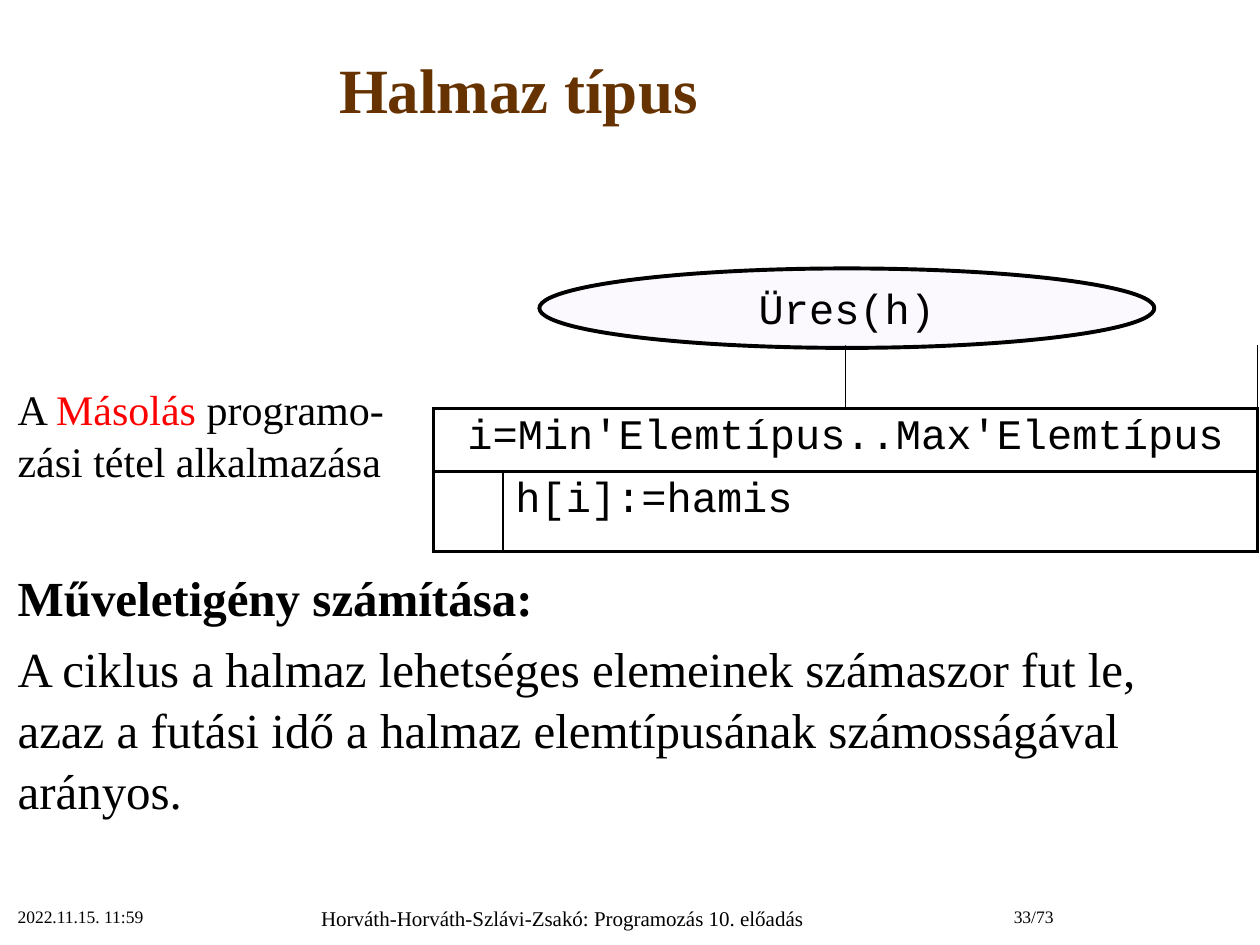
from dataclasses import dataclass, field
from typing import NamedTuple

from lxml.etree import SubElement
from pptx import Presentation
from pptx.dml.color import RGBColor
from pptx.enum.shapes import MSO_SHAPE as Shape
from pptx.enum.text import MSO_ANCHOR as Anchor, PP_ALIGN as Align
from pptx.oxml.ns import qn
from pptx.util import Pt

COLORS = {"black": "000000", "title": "663300", "accent": "FF0000", "oval": "F3E8FE"}
SERIF, MONO = "Times New Roman", "Courier New"
NO_GRID = "{2D5ABB26-0587-4C30-8999-92F81FD0307C}"
THIN, THICK = 1, 2.25
COLUMNS = (39.6, 195.84, 235.44)
ROWS = (36, 36, 46)


class Box(NamedTuple):
    left: float
    top: float
    width: float
    height: float


@dataclass
class Line:
    text: str
    size: float
    color: str = "black"
    font: str = SERIF
    bold: bool = False
    align: Align = Align.LEFT
    before: float = 0


@dataclass
class Label:
    box: Box
    line: Line
    anchor: Anchor = Anchor.TOP


@dataclass
class Cell:
    row: int
    col: int
    span: int = 1
    borders: dict[str, float] = field(default_factory=dict)
    line: Line | None = None


LABELS = (
    Label(Box(0, 6.5, 592.5, 88),
          Line("Halmaz típus", 36, "title", bold=True, align=Align.CENTER), Anchor.MIDDLE),
    Label(Box(3, 514, 150, 28), Line("2022.11.15. 11:59", 10)),
    Label(Box(152.6, 514, 337.7, 26),
          Line("Horváth-Horváth-Szlávi-Zsakó: Programozás 10. előadás", 12, align=Align.CENTER)),
    Label(Box(517.7, 514, 91.4, 28), Line("33/73", 10, align=Align.RIGHT)),
)

BODY = (
    Line("Műveletigény számítása:", 28, bold=True, before=45),
    Line("A ciklus a halmaz lehetséges elemeinek számaszor fut le, azaz a futási idő "
         "a halmaz elemtípusának számosságával arányos.", 28, before=5.6),
)

CELLS = (
    Cell(0, 0, 2, {"R": THIN, "B": THICK}),
    Cell(0, 2, 1, {"L": THIN, "B": THICK}),
    Cell(1, 0, 3, {"L": THICK, "R": THICK, "T": THICK},
         Line("i=Min'Elemtípus..Max'Elemtípus", 24, font=MONO, align=Align.CENTER)),
    Cell(2, 0, 1, {"L": THICK, "R": THIN, "B": THICK}),
    Cell(2, 1, 2, {"L": THIN, "R": THICK, "B": THICK}, Line("h[i]:=hamis", 24, font=MONO)),
)


def rgb(name: str) -> RGBColor:
    return RGBColor.from_string(COLORS[name])


def write(p, line: Line) -> None:
    p.alignment = line.align
    p.space_before = Pt(line.before)
    p.font.name, p.font.size, p.font.bold = line.font, Pt(line.size), line.bold
    p.font.color.rgb = rgb(line.color)
    if line.text:
        p.add_run().text = line.text


def add_text(s, box: Box, anchor: Anchor = Anchor.TOP):
    tf = s.shapes.add_textbox(*map(Pt, box)).text_frame
    tf.word_wrap = True
    tf.vertical_anchor = anchor
    return tf


def add_body(s) -> None:
    tf = add_text(s, Box(3, 214.5, 703.4, 223))
    p = tf.paragraphs[0]
    write(p, Line("", 24))
    for text, color in (("A ", "black"), ("Másolás ", "accent"), ("programo-", "black")):
        r = p.add_run()
        r.text = text
        r.font.color.rgb = rgb(color)
    p.add_line_break()
    p.add_run().text = "zási tétel alkalmazása"
    for line in BODY:
        write(tf.add_paragraph(), line)
    for p in tf.paragraphs:
        p.line_spacing = 1.04


def set_border(cell, side: str, width: float) -> None:
    ln = SubElement(cell._tc.get_or_add_tcPr(), qn(f"a:ln{side}"), w=str(Pt(width)))
    fill = SubElement(ln, qn("a:solidFill"))
    SubElement(fill, qn("a:srgbClr"), val=COLORS["black"])


def add_structogram(s) -> None:
    box = Box(247.7, 197.3, sum(COLUMNS), sum(ROWS))
    table = s.shapes.add_table(len(ROWS), len(COLUMNS), *map(Pt, box)).table
    table.first_row = table.horz_banding = False
    table._tbl.tblPr.find(qn("a:tableStyleId")).text = NO_GRID
    for column, width in zip(table.columns, COLUMNS):
        column.width = Pt(width)
    for row, height in zip(table.rows, ROWS):
        row.height = Pt(height)
    for item in CELLS:
        cell = table.cell(item.row, item.col)
        if item.span > 1:
            cell.merge(table.cell(item.row, item.col + item.span - 1))
        for side in "LRTB":
            if side in item.borders:
                set_border(cell, side, item.borders[side])
        cell.fill.background()
        if item.line:
            write(cell.text_frame.paragraphs[0], item.line)


def add_oval(s) -> None:
    sp = s.shapes.add_shape(Shape.OVAL, *map(Pt, Box(308.2, 153.4, 351.4, 45.4)))
    sp.shadow.inherit = False
    sp.fill.solid()
    sp.fill.fore_color.rgb = rgb("oval")
    color = sp._element.spPr.find(f"{qn('a:solidFill')}/{qn('a:srgbClr')}")
    SubElement(color, qn("a:alpha"), val="30000")
    sp.line.color.rgb = rgb("black")
    sp.line.width = Pt(THICK)
    tf = sp.text_frame
    tf.word_wrap = False
    tf.vertical_anchor = Anchor.MIDDLE
    write(tf.paragraphs[0],
          Line("Üres(h)", 24, font=MONO, align=Align.CENTER, before=4.8))


def main() -> None:
    prs = Presentation()
    prs.slide_width, prs.slide_height = Pt(720), Pt(540)
    s = prs.slides.add_slide(prs.slide_layouts[6])
    for label in LABELS:
        write(add_text(s, label.box, label.anchor).paragraphs[0], label.line)
    add_body(s)
    add_structogram(s)
    add_oval(s)
    prs.save("out.pptx")


if __name__ == "__main__":
    main()
